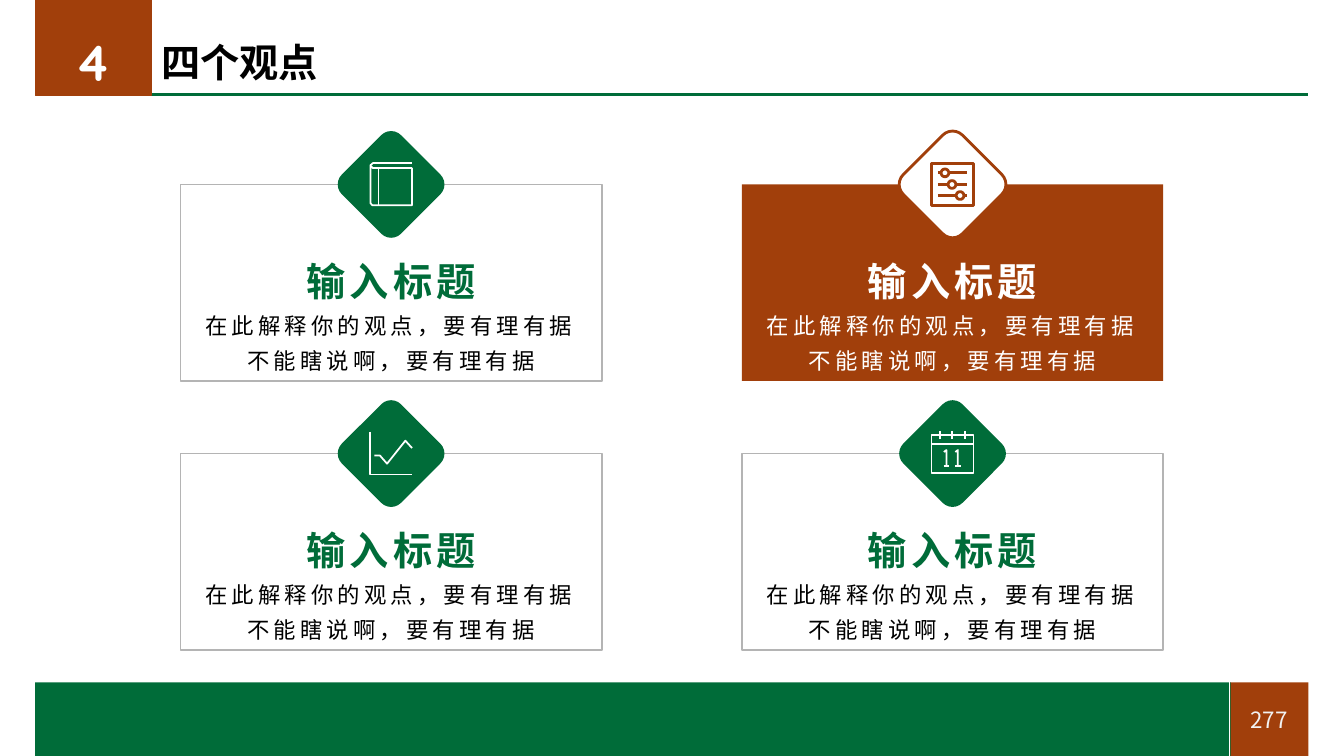
"""Build the slide that sets out four viewpoints as a two by two grid of cards."""
import math
from dataclasses import dataclass

import pptx
import pptx.dml.color
import pptx.enum.shapes
import pptx.enum.text
import pptx.oxml
import pptx.oxml.ns
import pptx.util

Point = tuple[float, float]
Stroke = list[Point]
Shapes = pptx.enum.shapes.MSO_SHAPE
Align = pptx.enum.text.PP_ALIGN
Anchor = pptx.enum.text.MSO_ANCHOR

COLORS = {
    "green": "006C39", "rust": "A13F0B", "grey": "B4B4B4",
    "white": "FFFFFF", "black": "000000", "pale": "F2F2F2",
}
FONT = "Noto Sans CJK SC"
COLUMNS, ROWS = 80, 45
CELL = pptx.util.Inches(1 / 6)
ICON_UNIT = pptx.util.Inches(1) / 1000

CARD_LEFT, CARD_TOP, CARD_WIDTH, CARD_HEIGHT = 10.74, 10.98, 25.08, 11.7
CARD_STEP_X, CARD_STEP_Y = 33.42, 16.02
DIAMOND = 4.98
FOOTER_TOP = 40.62
PAGE_LEFT = 73.2


@dataclass
class Card:
    column: int
    row: int
    icon: list[list[Stroke]]
    highlighted: bool = False


def ring(x: float, y: float, radius: float = 38) -> Stroke:
    """Return a closed circle as a stroke."""
    angles = [math.tau * step / 24 for step in range(25)]
    return [(x + radius * math.cos(angle), y + radius * math.sin(angle)) for angle in angles]


def slider(x: float, y: float) -> list[Stroke]:
    """Return a slider track broken by its knob."""
    return [[(-145, y), (x - 38, y)], ring(x, y), [(x + 38, y), (140, y)]]


def digit_one(x: float) -> list[Stroke]:
    """Return the strokes of a figure one standing at x."""
    return [[(x - 25, -15), (x, -35), (x, 120)], [(x - 28, 120), (x + 28, 120)]]


def frame(top: float, bottom: float) -> Stroke:
    """Return a closed rectangle as wide as an icon."""
    return [(-208, top), (208, top), (208, bottom), (-208, bottom), (-208, top)]


BOOK = [[
    [(207, -212), (-180, -212), (-205, -190), (-205, 185), (-185, 207),
     (207, 207), (207, -162), (-180, -162), (-205, -185)],
    [(-125, -162), (-125, 207)],
]]
SLIDERS = [[frame(-208, 208)], slider(-75, -115), slider(75, 110), slider(-5, 0)]
TREND = [
    [[(-208, -215), (-208, 207), (208, 207)]],
    [[(-165, 20), (-110, 20), (-40, 100), (142, -128), (208, -55)]],
]
CALENDAR = [
    [frame(-185, 195), [(-208, -95), (208, -95)],
     *[[(x, -225), (x, -145)] for x in (-125, -5, 120)]],
    digit_one(-60), digit_one(53),
]
CARDS = [
    Card(0, 0, BOOK), Card(1, 0, SLIDERS, highlighted=True),
    Card(0, 1, TREND), Card(1, 1, CALENDAR),
]


def cells(*counts: float) -> list[int]:
    """Convert grid cells to slide lengths."""
    return [round(count * CELL) for count in counts]


def color(name: str) -> pptx.dml.color.RGBColor:
    """Look up a named colour."""
    return pptx.dml.color.RGBColor.from_string(COLORS[name])


def paint(shape, fill: str | None, line: str | None = None, width: float = 1) -> None:
    """Set fill and outline and drop the shadow."""
    shape.shadow.inherit = False
    if fill:
        shape.fill.solid()
        shape.fill.fore_color.rgb = color(fill)
    else:
        shape.fill.background()
    if line:
        shape.line.color.rgb = color(line)
        shape.line.width = pptx.util.Pt(width)
    else:
        shape.line.fill.background()


def add_block(slide, kind, box: tuple, fill: str | None, line: str | None = None,
              width: float = 1):
    """Add a painted preset shape in grid cells."""
    shape = slide.shapes.add_shape(kind, *cells(*box))
    paint(shape, fill, line, width)
    return shape


def add_line(slide, ends: tuple, name: str, width: float) -> None:
    """Add a straight line between two grid points."""
    connector = slide.shapes.add_connector(
        pptx.enum.shapes.MSO_CONNECTOR.STRAIGHT, *cells(*ends))
    connector.line.color.rgb = color(name)
    connector.line.width = pptx.util.Pt(width)
    properties = connector._element.spPr
    properties.append(pptx.oxml.parse_xml(
        f'<a:effectLst {pptx.oxml.ns.nsdecls("a")}/>'))


def write(paragraph, text: str, size: float, name: str, bold: bool = False,
          align=Align.CENTER, spacing: float = 1, tracking: int = 0, font: str = FONT) -> None:
    """Fill a paragraph and format it as a whole."""
    paragraph.text = text
    paragraph.alignment = align
    paragraph.line_spacing = spacing
    paragraph.font.size = pptx.util.Pt(size)
    paragraph.font.bold = bold
    paragraph.font.color.rgb = color(name)
    paragraph.font.name = font
    defaults = paragraph._p.get_or_add_pPr().find(pptx.oxml.ns.qn("a:defRPr"))
    defaults.set("spc", str(tracking * 100))
    defaults.append(pptx.oxml.parse_xml(
        f'<a:ea {pptx.oxml.ns.nsdecls("a")} typeface="{font}"/>'))


def add_text(slide, box: tuple, anchor=Anchor.TOP):
    """Add a wrapping text box and return its frame."""
    text_frame = slide.shapes.add_textbox(*cells(*box)).text_frame
    text_frame.word_wrap = True
    text_frame.vertical_anchor = anchor
    return text_frame


def add_icon(slide, icon: list[list[Stroke]], x: float, y: float, name: str,
             width: float) -> None:
    """Draw each part of an icon around a grid point."""
    for first, *others in icon:
        builder = slide.shapes.build_freeform(*first[0], scale=ICON_UNIT)
        builder.add_line_segments(first[1:], close=False)
        for stroke in others:
            builder.move_to(*stroke[0])
            builder.add_line_segments(stroke[1:], close=False)
        paint(builder.convert_to_shape(*cells(x, y)), None, name, width)


def add_card(slide, card: Card) -> None:
    """Draw a card with its diamond, text and icon."""
    left = CARD_LEFT + card.column * CARD_STEP_X
    top = CARD_TOP + card.row * CARD_STEP_Y
    middle = left + CARD_WIDTH / 2
    lit = card.highlighted
    add_block(slide, Shapes.RECTANGLE, (left, top, CARD_WIDTH, CARD_HEIGHT),
              "rust" if lit else None, None if lit else "grey", 1.25)
    diamond = add_block(
        slide, Shapes.ROUNDED_RECTANGLE,
        (middle - DIAMOND / 2, top - DIAMOND / 2, DIAMOND, DIAMOND),
        "white" if lit else "green", "rust" if lit else None, 2)
    diamond.rotation = 45
    text_frame = add_text(slide, (left + 0.78, top + 3.48, CARD_WIDTH - 1.56, 7.86))
    text_frame.margin_left = text_frame.margin_right = 0
    text_frame.margin_top = text_frame.margin_bottom = 0
    write(text_frame.paragraphs[0], "输入标题", 28, "white" if lit else "green",
          bold=True, spacing=1.3, tracking=3)
    write(text_frame.add_paragraph(), "在此解释你的观点，要有理有据不能瞎说啊，要有理有据",
          16, "white" if lit else "black", spacing=1.3, tracking=3)
    add_icon(slide, card.icon, middle, top, "rust" if lit else "white", 2 if lit else 1.25)


def main() -> None:
    """Build and save the presentation."""
    presentation = pptx.Presentation()
    presentation.slide_width, presentation.slide_height = cells(COLUMNS, ROWS)
    slide = presentation.slides.add_slide(presentation.slide_layouts[5])

    add_line(slide, (8.94, 5.64, 77.88, 5.64), "green", 2.25)
    footer_height = ROWS - FOOTER_TOP
    add_block(slide, Shapes.RECTANGLE, (PAGE_LEFT, FOOTER_TOP, 4.68, footer_height), "rust")
    add_block(slide, Shapes.RECTANGLE, (2.1, 0, 6.9, 5.7), "rust", "rust")
    add_block(slide, Shapes.RECTANGLE, (2.1, FOOTER_TOP, 71.16, footer_height), "green")
    page = add_text(slide, (73.74, 41.7, 3.6, 2.22), Anchor.MIDDLE)
    page.margin_left = page.margin_right = 0
    write(page.paragraphs[0], "277", 16, "pale")
    add_line(slide, (PAGE_LEFT, FOOTER_TOP, PAGE_LEFT, ROWS), "white", 1)

    title = slide.shapes.title
    title.left, title.top, title.width, title.height = cells(9, 2.28, 56.7, 3.18)
    title.text_frame.vertical_anchor = Anchor.MIDDLE
    title.text_frame.auto_size = pptx.enum.text.MSO_AUTO_SIZE.NONE
    write(title.text_frame.paragraphs[0], "四个观点", 28, "black", bold=True,
          align=Align.LEFT, spacing=0.9)

    for card in CARDS:
        add_card(slide, card)

    number = add_text(slide, (2.34, 1.56, 6.36, 4.26))
    write(number.paragraphs[0], "4", 36, "white", bold=True, font="Quicksand")
    presentation.save("out.pptx")


if __name__ == "__main__":
    main()
